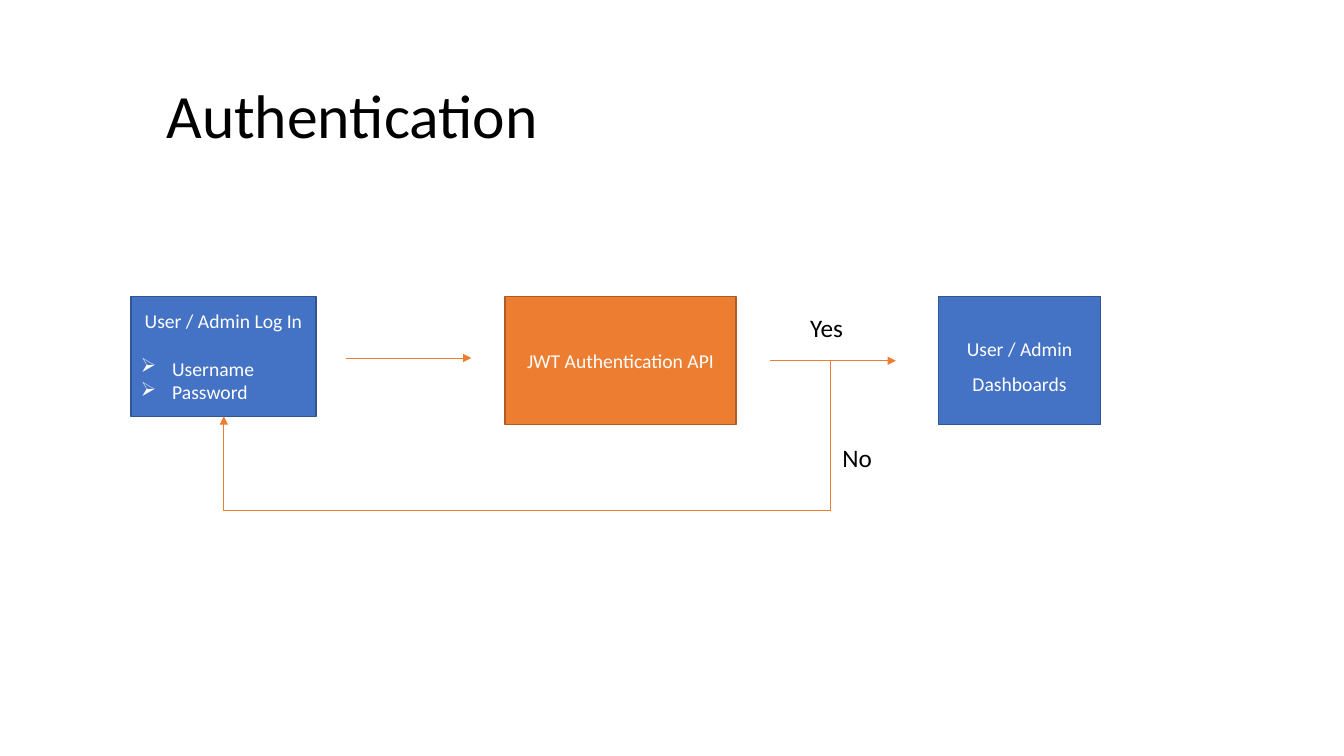
import pptx
import pptx.util
import pptx.dml.color
import pptx.enum.shapes
import pptx.enum.text
import pptx.oxml
import pptx.oxml.ns

Cm, Pt = pptx.util.Cm, pptx.util.Pt
ALIGN = pptx.enum.text.PP_ALIGN
ANCHOR = pptx.enum.text.MSO_ANCHOR
CONNECTOR = pptx.enum.shapes.MSO_CONNECTOR
COLORS = {"blue": "4472C4", "blue_edge": "325491", "orange": "ED7D31",
          "orange_edge": "AF5C24", "text": "000000", "light": "FFFFFF"}
NS = pptx.oxml.ns.nsdecls("a")


def rgb(name):
    """Return the named colour."""
    return pptx.dml.color.RGBColor.from_string(COLORS[name])


def add_run(p, text, size, color):
    """Add one formatted run to a paragraph."""
    r = p.add_run()
    r.text = text
    r.font.name = "Calibri"
    r.font.size = Pt(size)
    r.font.color.rgb = rgb(color)


def add_title(s, text, x, y, w, h):
    """Place and format the slide title."""
    sp = s.shapes.title
    sp.left, sp.top, sp.width, sp.height = Cm(x), Cm(y), Cm(w), Cm(h)
    tf = sp.text_frame
    tf.vertical_anchor = ANCHOR.MIDDLE
    p = tf.paragraphs[0]
    p.alignment = ALIGN.LEFT
    p.line_spacing = 0.9
    add_run(p, text, 44, "text")


def add_box(s, lines, fill, x, y, w, h):
    """Draw a step box with centred lines and return its shape."""
    sp = s.shapes.add_shape(pptx.enum.shapes.MSO_SHAPE.RECTANGLE, Cm(x), Cm(y), Cm(w), Cm(h))
    sp.shadow.inherit = False
    sp.fill.solid()
    sp.fill.fore_color.rgb = rgb(fill)
    sp.line.color.rgb = rgb(fill + "_edge")
    sp.line.width = Pt(1)
    tf = sp.text_frame
    tf.word_wrap = True
    tf.vertical_anchor = ANCHOR.MIDDLE
    p = tf.paragraphs[0]
    p.alignment = ALIGN.CENTER
    for i, line in enumerate(lines):
        if i:
            p.add_line_break()
            p.line_spacing = 1.5
        add_run(p, line, 14, "light")
    return sp


def add_bullets(sp, items):
    """Add arrow-bulleted items below the heading of a box."""
    tf = sp.text_frame
    tf.paragraphs[0].space_after = Pt(17)
    for item in items:
        p = tf.add_paragraph()
        p.alignment = ALIGN.LEFT
        pPr = p._p.get_or_add_pPr()
        pPr.set("marL", str(Cm(0.79)))
        pPr.set("indent", str(-Cm(0.79)))
        pPr.append(pptx.oxml.parse_xml(f'<a:buFont {NS} typeface="Wingdings"/>'))
        pPr.append(pptx.oxml.parse_xml(f'<a:buChar {NS} char="Ø"/>'))
        add_run(p, item, 14, "light")


def add_arrow(s, kind, x1, y1, x2, y2):
    """Draw a thin orange connector with an arrowhead."""
    c = s.shapes.add_connector(kind, Cm(x1), Cm(y1), Cm(x2), Cm(y2))
    c.line.color.rgb = rgb("orange")
    c.line.width = Pt(0.5)
    c.line._get_or_add_ln().append(pptx.oxml.parse_xml(f'<a:tailEnd {NS} type="triangle"/>'))
    c._element.spPr.append(pptx.oxml.parse_xml(f"<a:effectLst {NS}/>"))
    return c


def add_return_arrow(s, x, y, w, h, drop):
    """Lead from the top right of the box down by drop and back to its bottom left."""
    c = add_arrow(s, CONNECTOR.ELBOW, x, y + h, x + w, y)
    spPr = c._element.spPr
    spPr.find(pptx.oxml.ns.qn("a:xfrm")).set("rot", "10800000")
    geom = spPr.find(pptx.oxml.ns.qn("a:prstGeom"))
    geom.set("prst", "bentConnector4")
    guides = geom.get_or_add_avLst()
    for name, value in (("adj1", 0), ("adj2", round(100000 * drop / h))):
        guides.append(pptx.oxml.parse_xml(f'<a:gd {NS} name="{name}" fmla="val {value}"/>'))


def add_label(s, text, x, y, w, h):
    """Write the label of a branch."""
    tf = s.shapes.add_textbox(Cm(x), Cm(y), Cm(w), Cm(h)).text_frame
    tf.word_wrap = True
    tf.auto_size = pptx.enum.text.MSO_AUTO_SIZE.SHAPE_TO_FIT_TEXT
    add_run(tf.paragraphs[0], text, 18, "text")


def add_flow(s, x, y):
    """Draw the login flow from its top left corner."""
    login = add_box(s, ["User / Admin Log In"], "blue", x, y, 4.67, 3.02)
    add_bullets(login, ["Username", "Password"])
    add_box(s, ["JWT Authentication API"], "orange", x + 9.43, y, 5.82, 3.23)
    add_box(s, ["User / Admin", "Dashboards"], "blue", x + 20.35, y, 4.09, 3.23)
    for dx, dy in ((5.41, 1.55), (16.11, 1.62)):
        add_arrow(s, CONNECTOR.STRAIGHT, x + dx, y + dy, x + dx + 3.17, y + dy)
    add_return_arrow(s, x + 2.34, y + 1.62, 15.29, 1.4, 3.78)
    add_label(s, "Yes", x + 16.87, y + 0.28, 2.39, 1.02)
    add_label(s, "No", x + 17.68, y + 3.55, 1.57, 1.02)


def main():
    """Build and save the slide."""
    prs = pptx.Presentation()
    prs.slide_width, prs.slide_height = Cm(33.87), Cm(19.05)
    s = prs.slides.add_slide(prs.slide_layouts.get_by_name("Title Only"))
    add_title(s, "Authentication", 3.94, 1.14, 29.21, 3.68)
    add_flow(s, 3.3, 7.47)
    prs.save("out.pptx")


if __name__ == "__main__":
    main()
